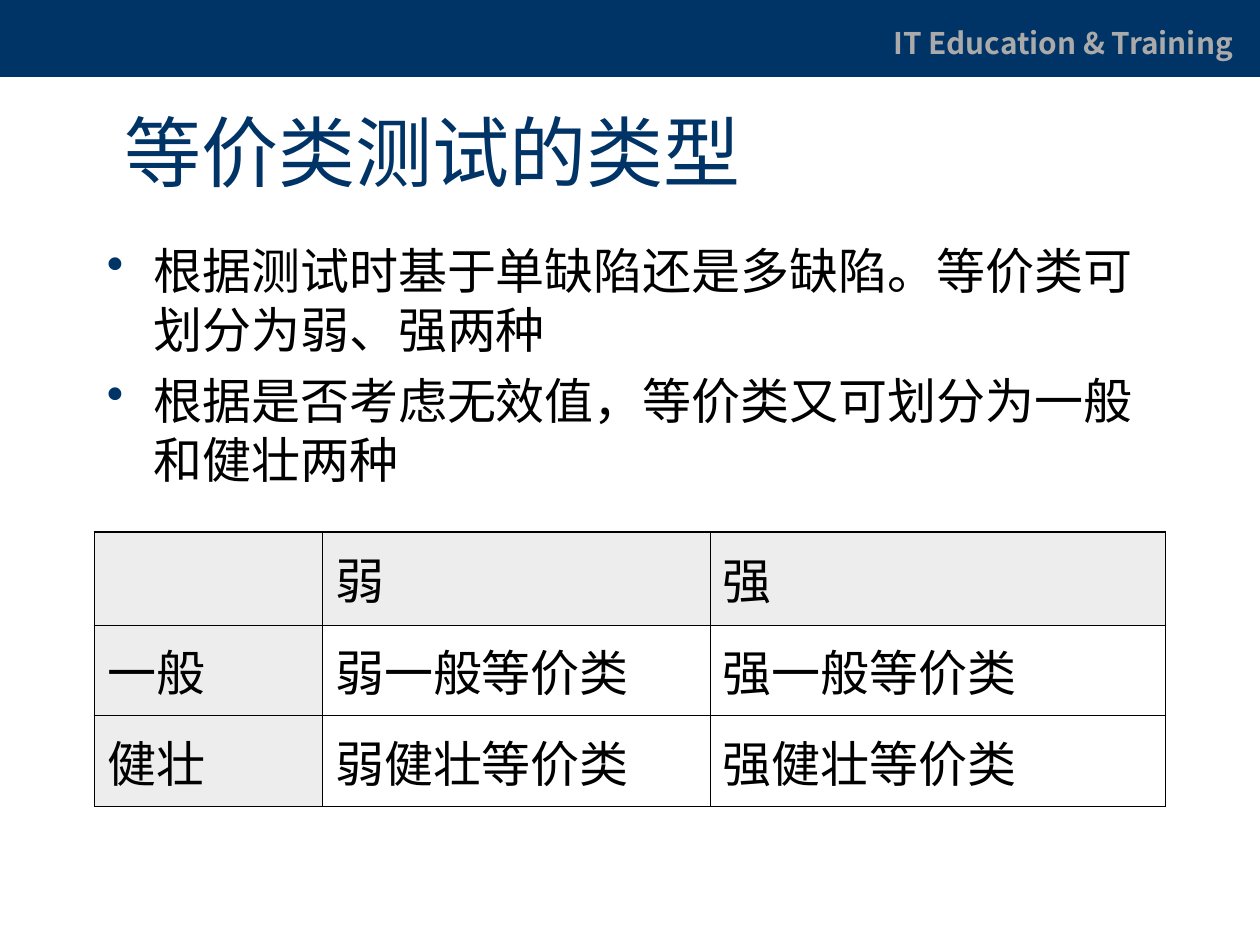
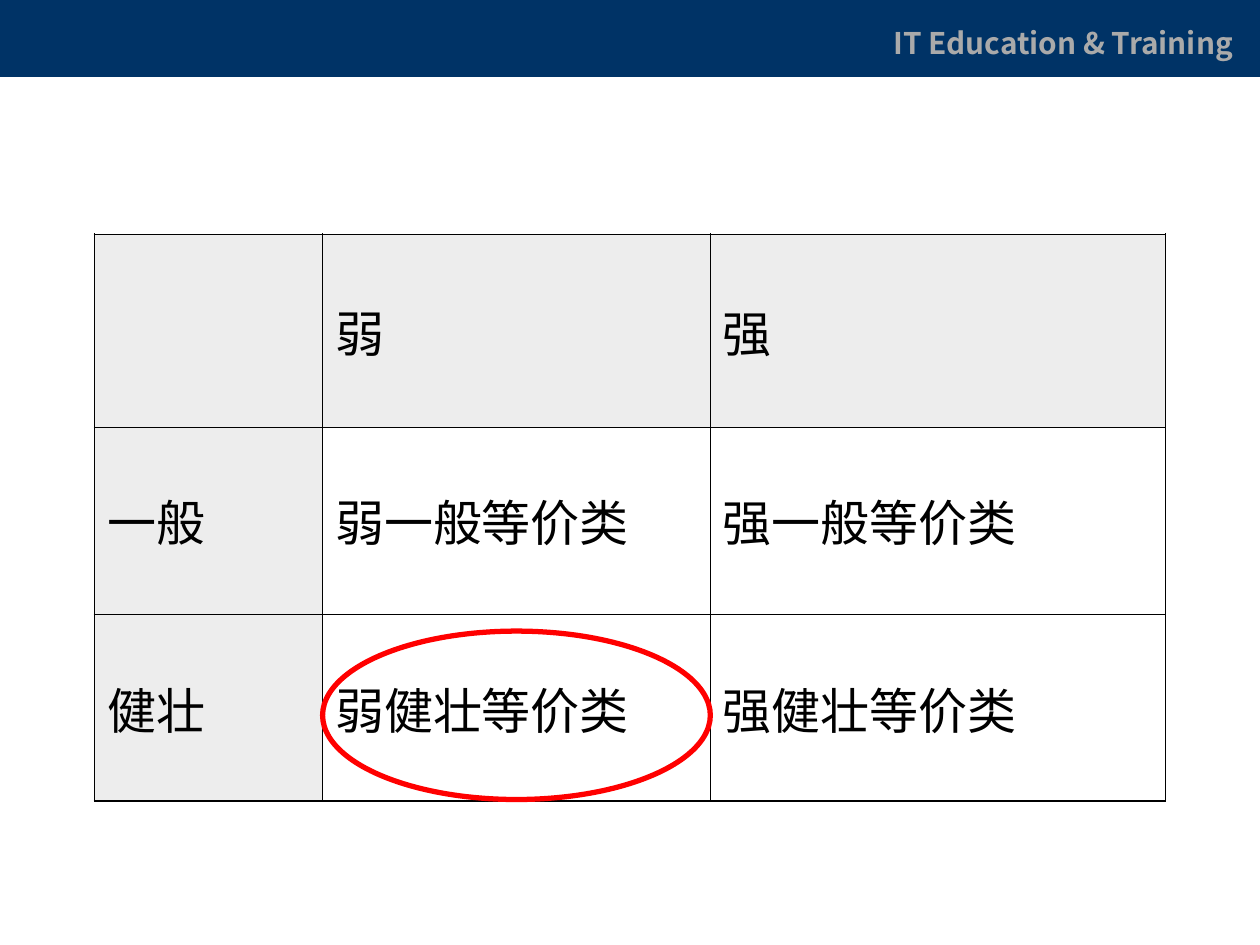
from dataclasses import dataclass
from itertools import accumulate
from lxml import etree
from pptx import Presentation
from pptx.dml.color import RGBColor
from pptx.enum.shapes import MSO_SHAPE
from pptx.enum.text import MSO_ANCHOR
from pptx.oxml.ns import qn
from pptx.util import Inches, Pt

RECT, OVAL = MSO_SHAPE.RECTANGLE, MSO_SHAPE.OVAL
TOP, MIDDLE = MSO_ANCHOR.TOP, MSO_ANCHOR.MIDDLE
UNIT, COLS, ROWS = 0.25, 40, 30


@dataclass(frozen=True)
class Theme:
    """Colours, type sizes and line widths of the deck."""
    face: str = "Noto Sans CJK SC"
    navy: str = "003366"
    grey: str = "AAAAAA"
    ink: str = "000000"
    shade: str = "DDDDDD"
    red: str = "FF0000"
    brand: int = 17
    title: int = 44
    body: int = 28
    lead: float = 1.2
    gap: int = 7
    thin: float = 0.45
    thick: float = 1.08
    ring: int = 3


@dataclass(frozen=True)
class Box:
    """Area in grid columns and rows."""
    x: float
    y: float
    w: float
    h: float

    def emu(self):
        """Return left, top, width and height as lengths."""
        return [Inches(v * UNIT) for v in (self.x, self.y, self.w, self.h)]

    def share(self, x, y, w, h):
        """Return the area that covers the given shares of this one."""
        return Box(self.x + x * self.w, self.y + y * self.h, w * self.w, h * self.h)


THEME = Theme()
PAGE = Box(0, 0, COLS, ROWS)
BAND = Box(0, 0, COLS, 2.44)
BRAND = Box(28, 0.6, 11.72, 2.64)
TITLE = Box(3, 2.72, 34, 4.16)
BODY = Box(3, 7.44, 34, 8.68)
SMALL = Box(3, 16.88, 34, 8.72)
LARGE = Box(3, 7.44, 34, 18)
WIDE = [0.213, 0.362, 0.425]
HIGH = [0.34, 0.33, 0.33]
KINDS = [
    ["", "弱", "强"],
    ["一般", "弱一般等价类", "强一般等价类"],
    ["健壮", "弱健壮等价类", "强健壮等价类"],
]
POINTS = [
    "根据测试时基于单缺陷还是多缺陷。等价类可划分为弱、强两种",
    "根据是否考虑无效值，等价类又可划分为一般和健壮两种",
]


def node(root, tag, **attrs):
    """Add a drawing element below the root."""
    return etree.SubElement(root, qn("a:" + tag), attrs)


def apply(item, **values):
    """Set each given format value on the item."""
    for name, value in values.items():
        setattr(item, name, value)


def write(para, text, size, tint, bold=False):
    """Add one run of styled text."""
    run = para.add_run()
    run.text = text
    apply(run.font, size=Pt(size), bold=bold, name=THEME.face)
    run.font.color.rgb = RGBColor.from_string(tint)
    node(run._r.get_or_add_rPr(), "ea", typeface=THEME.face)


def flood(fill, tint):
    """Fill with one solid colour."""
    fill.solid()
    fill.fore_color.rgb = RGBColor.from_string(tint)


def frame(slide, box, anchor=TOP, left=0.1):
    """Add a wrapping text box and return its frame."""
    text = slide.shapes.add_textbox(*box.emu()).text_frame
    apply(text, word_wrap=True, vertical_anchor=anchor, margin_left=Inches(left))
    return text


def shape(slide, kind, box):
    """Add a plain shape with no shadow."""
    item = slide.shapes.add_shape(kind, *box.emu())
    item.shadow.inherit = False
    return item


def bullet(para):
    """Give the paragraph a navy hanging bullet."""
    props = para._p.get_or_add_pPr()
    for name, value in {"marL": Inches(0.37), "indent": -Inches(0.37)}.items():
        props.set(name, str(value))
    node(node(props, "buClr"), "srgbClr", val=THEME.navy)
    node(props, "buChar", char="•")


def header(slide):
    """Draw the top band and its course label."""
    band = shape(slide, RECT, BAND)
    flood(band.fill, THEME.navy)
    band.line.fill.background()
    para = frame(slide, BRAND, left=0.09).paragraphs[0]
    para.line_spacing = Pt(THEME.brand * THEME.lead)
    write(para, "IT Education & Training", THEME.brand, THEME.grey, True)


def title(slide, box, text):
    """Write the slide title in its box."""
    para = frame(slide, box, MIDDLE, 0.24).paragraphs[0]
    write(para, text, THEME.title, THEME.navy)


def points(slide, box, lines):
    """List the bullet points in the box."""
    text = frame(slide, box)
    for i, line in enumerate(lines):
        para = text.add_paragraph() if i else text.paragraphs[0]
        bullet(para)
        apply(para, line_spacing=Pt(THEME.body * THEME.lead), space_before=Pt(THEME.gap if i else 0))
        write(para, line, THEME.body, THEME.ink)


def border(cell, edges):
    """Line the cell, thick on the table's outer edges."""
    props = cell._tc.get_or_add_tcPr()
    for side, outer in edges.items():
        width = Pt(THEME.thick if outer else THEME.thin)
        line = node(props, "ln" + side, w=str(width))
        node(node(line, "solidFill"), "srgbClr", val=THEME.ink)


def paint(cell, head):
    """Shade a heading cell and leave the others clear."""
    if not head:
        cell.fill.background()
        return
    flood(cell.fill, THEME.shade)
    tint = cell._tc.tcPr.find(qn("a:solidFill") + "/" + qn("a:srgbClr"))
    node(tint, "alpha", val="50000")


def matrix(slide, box, rows):
    """Draw the table of class kinds in the box."""
    high, wide = len(rows), len(rows[0])
    table = slide.shapes.add_table(high, wide, *box.emu()).table
    apply(table, first_row=False, horz_banding=False)
    for col, share in zip(table.columns, WIDE):
        col.width = Inches(share * box.w * UNIT)
    for row, share in zip(table.rows, HIGH):
        row.height = Inches(share * box.h * UNIT)
    for r, row in enumerate(rows):
        for c, text in enumerate(row):
            cell = table.cell(r, c)
            cell.vertical_anchor = MIDDLE
            border(cell, {"L": c == 0, "R": c == wide - 1, "T": r == 0, "B": r == high - 1})
            paint(cell, r == 0 or c == 0)
            if text:
                write(cell.text_frame.paragraphs[0], text, THEME.body, THEME.ink)


def ring(slide, box, r, c):
    """Circle one cell of the table in the box."""
    left, top = [0, *accumulate(WIDE)][c], [0, *accumulate(HIGH)][r]
    cell = box.share(left, top, WIDE[c], HIGH[r])
    oval = shape(slide, OVAL, cell.share(0, 0.09, 1, 0.9))
    oval.fill.background()
    oval.line.width = Pt(THEME.ring)
    oval.line.color.rgb = RGBColor.from_string(THEME.red)


def types(slide):
    """Build the slide on the types of class testing."""
    header(slide)
    title(slide, TITLE, "等价类测试的类型")
    points(slide, BODY, POINTS)
    matrix(slide, SMALL, KINDS)


def focus(slide):
    """Build the slide that marks the weak robust class."""
    header(slide)
    matrix(slide, LARGE, KINDS)
    ring(slide, LARGE, 2, 1)


def main():
    """Build the deck and save it."""
    deck = Presentation()
    apply(deck, slide_width=Inches(PAGE.w * UNIT), slide_height=Inches(PAGE.h * UNIT))
    for build in (types, focus):
        build(deck.slides.add_slide(deck.slide_layouts[6]))
    deck.save("out.pptx")


if __name__ == "__main__":
    main()
